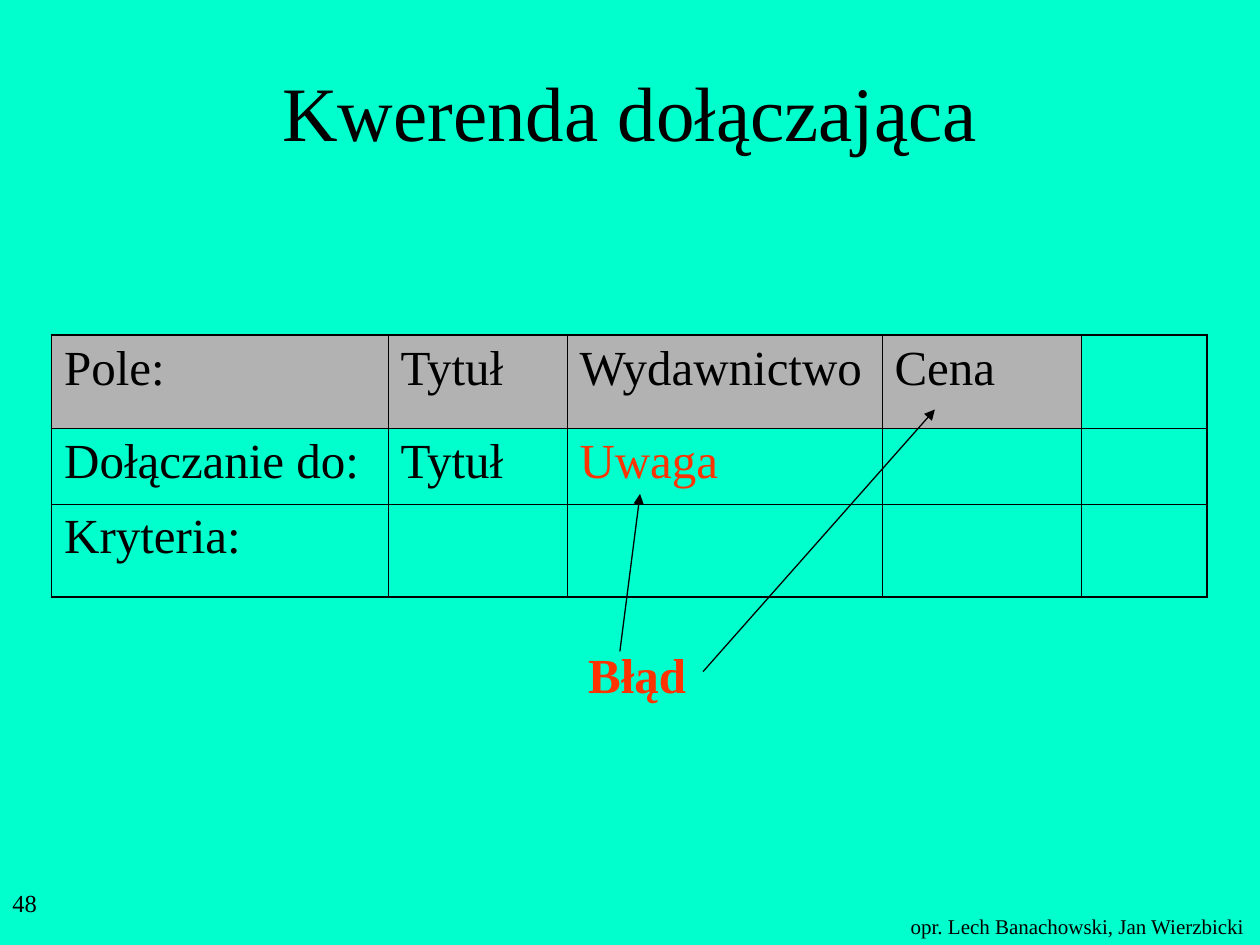
import pptx
import pptx.util
import pptx.dml.color
import pptx.enum.shapes
import pptx.enum.text
import pptx.oxml.ns
from dataclasses import dataclass
from lxml import etree

Inches = pptx.util.Inches
Pt = pptx.util.Pt
Align = pptx.enum.text.PP_ALIGN
Anchor = pptx.enum.text.MSO_ANCHOR


@dataclass(frozen=True)
class Theme:
    font: str = "Times New Roman"
    back: str = "00FFCC"
    ink: str = "000000"
    alert: str = "FF3300"
    head: str = "B2B2B2"
    title: int = 44
    body: int = 28
    page: int = 14
    foot: int = 12
    thin: float = 0.45
    thick: float = 1.08
    arrow: float = 0.75


THEME = Theme()


def color(code):
    return pptx.dml.color.RGBColor.from_string(code)


def node(parent, tag, **attrs):
    return etree.SubElement(parent, pptx.oxml.ns.qn(tag), **attrs)


def write(frame, text, size=THEME.body, ink=THEME.ink, bold=False, align=Align.LEFT):
    para = frame.paragraphs[0]
    para.alignment = align
    run = para.add_run()
    run.text = text
    font = run.font
    font.name, font.size, font.bold = THEME.font, Pt(size), bold
    font.color.rgb = color(ink)


class Page:
    def __init__(self, deck, theme):
        self.theme = theme
        self.slide = deck.slides.add_slide(deck.slide_layouts[6])
        fill = self.slide.background.fill
        fill.solid()
        fill.fore_color.rgb = color(theme.back)

    def text(self, box, text, wrap=True, anchor=Anchor.TOP, **style):
        frame = self.slide.shapes.add_textbox(*map(Inches, box)).text_frame
        frame.word_wrap = wrap
        frame.vertical_anchor = anchor
        if not wrap:
            frame.auto_size = pptx.enum.text.MSO_AUTO_SIZE.SHAPE_TO_FIT_TEXT
        write(frame, text, **style)

    def edge(self, cell, side, width):
        line = node(cell._tc.get_or_add_tcPr(), f"a:ln{side}", w=str(Pt(width)))
        node(node(line, "a:solidFill"), "a:srgbClr", val=self.theme.ink)

    def table(self, left, top, cols, rows, data, heads, alerts):
        box = map(Inches, (left, top, sum(cols), sum(rows)))
        grid = self.slide.shapes.add_table(len(rows), len(cols), *box).table
        grid.first_row = grid.horz_banding = False
        for col, width in zip(grid.columns, cols):
            col.width = Inches(width)
        for row, height in zip(grid.rows, rows):
            row.height = Inches(height)
        for r, line in enumerate(data):
            for c, text in enumerate(line):
                cell = grid.cell(r, c)
                # Thick outer frame, thin inner lines
                outer = {"L": c == 0, "R": c == len(cols) - 1,
                         "T": r == 0, "B": r == len(rows) - 1}
                for side, thick in outer.items():
                    self.edge(cell, side, self.theme.thick if thick else self.theme.thin)
                if (r, c) in heads:
                    cell.fill.solid()
                    cell.fill.fore_color.rgb = color(self.theme.head)
                else:
                    cell.fill.background()
                if text:
                    ink = self.theme.alert if (r, c) in alerts else self.theme.ink
                    write(cell.text_frame, text, ink=ink)

    def arrow(self, start, end):
        kind = pptx.enum.shapes.MSO_CONNECTOR.STRAIGHT
        link = self.slide.shapes.add_connector(kind, *map(Inches, start + end))
        link.line.color.rgb = color(self.theme.ink)
        link.line.width = Pt(self.theme.arrow)
        node(link.line._get_or_add_ln(), "a:tailEnd", type="triangle")
        node(link._element.spPr, "a:effectLst")


def main():
    deck = pptx.Presentation()
    deck.slide_width, deck.slide_height = Inches(10), Inches(7.5)
    page = Page(deck, THEME)

    # Footer credit and title
    page.text((7.13, 7.2, 2.86, 0.3), "opr. Lech Banachowski, Jan Wierzbicki",
              wrap=False, size=THEME.foot)
    page.text((0.75, 0.25, 8.5, 1.25), "Kwerenda dołączająca",
              anchor=Anchor.MIDDLE, size=THEME.title, align=Align.CENTER)

    # Query grid
    data = [
        ["Pole:", "Tytuł", "Wydawnictwo", "Cena", ""],
        ["Dołączanie do:", "Tytuł", "Uwaga", "", ""],
        ["Kryteria:", "", "", "", ""],
    ]
    page.table(0.41, 2.66, [2.67, 1.42, 2.5, 1.58, 1], [0.74, 0.6, 0.74], data,
               heads=[(0, c) for c in range(4)], alerts=[(1, 2)])

    # Error label and its arrows
    page.text((4.57, 5.07, 1, 0.57), "Błąd", wrap=False, ink=THEME.alert, bold=True)
    page.arrow((4.92, 5.17), (5.08, 3.92))
    page.arrow((5.58, 5.33), (7.42, 3.25))

    # Page number
    page.text((0, 7, 2.08, 0.5), "48", size=THEME.page)

    deck.save("out.pptx")


if __name__ == "__main__":
    main()
